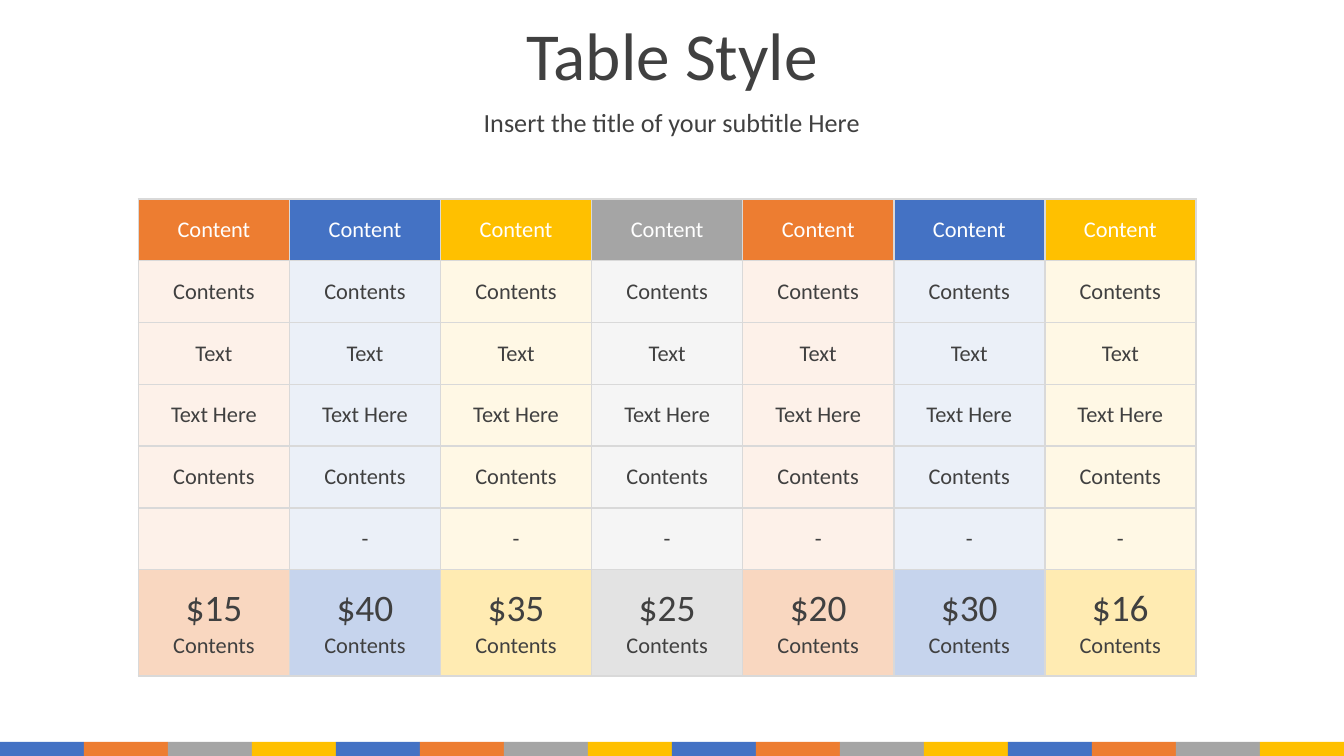
import pptx
import pptx.dml.color
import pptx.enum.shapes
import pptx.enum.text
import pptx.oxml.ns
import pptx.util
from lxml import etree
from pptx.util import Inches

FONT = "Calibri"
DARK, WHITE, BORDER = "404040", "FFFFFF", "D9D9D9"
BLUE, ORANGE, GRAY, YELLOW = "4472C4", "ED7D31", "A5A5A5", "FFC000"
STRIPE_COLORS = [BLUE, ORANGE, GRAY, YELLOW] * 4
COLUMN_COLORS = [ORANGE, BLUE, YELLOW, GRAY, ORANGE, BLUE, YELLOW]
PRICES = ["$15", "$40", "$35", "$25", "$20", "$30", "$16"]
COLUMN_COUNT = len(COLUMN_COLORS)
BODY_ROWS = [[label] * COLUMN_COUNT
             for label in ("Contents", "Text", "Text Here", "Contents")]
BODY_ROWS.append([""] + ["-"] * (COLUMN_COUNT - 1))
SLIDE_WIDTH = 10
SLIDE_HEIGHT = SLIDE_WIDTH * 9 / 16


def rgb(color):
    return pptx.dml.color.RGBColor.from_string(color)


def add_child(parent, tag, **attributes):
    return etree.SubElement(parent, pptx.oxml.ns.qn(tag), attributes)


def add_run(paragraph, text, size, color):
    paragraph.alignment = pptx.enum.text.PP_ALIGN.CENTER
    run = paragraph.add_run()
    run.text = text
    run.font.name = FONT
    run.font.size = pptx.util.Pt(size)
    run.font.color.rgb = rgb(color)


def add_stripes(slide):
    width = SLIDE_WIDTH / len(STRIPE_COLORS)
    for index, color in enumerate(STRIPE_COLORS):
        stripe = slide.shapes.add_shape(
            pptx.enum.shapes.MSO_SHAPE.RECTANGLE,
            Inches(index * width), Inches(5.52), Inches(width), Inches(0.11))
        stripe.shadow.inherit = False
        stripe.fill.solid()
        stripe.fill.fore_color.rgb = rgb(color)
        stripe.line.fill.background()


def fill_heading(placeholder, text, top, height, size, line_spacing):
    placeholder.left, placeholder.top = Inches(0), Inches(top)
    placeholder.width, placeholder.height = Inches(SLIDE_WIDTH), Inches(height)
    frame = placeholder.text_frame
    frame.word_wrap = True
    frame.auto_size = pptx.enum.text.MSO_AUTO_SIZE.NONE
    frame.vertical_anchor = pptx.enum.text.MSO_ANCHOR.MIDDLE
    paragraph = frame.paragraphs[0]
    paragraph.line_spacing = line_spacing
    paragraph.space_before = pptx.util.Pt(7.5)
    add_run(paragraph, text, size, DARK)


def style_cell(cell, color, opacity):
    cell.vertical_anchor = pptx.enum.text.MSO_ANCHOR.MIDDLE
    cell.fill.solid()
    cell.fill.fore_color.rgb = rgb(color)
    properties = cell._tc.get_or_add_tcPr()
    fill = properties.find(pptx.oxml.ns.qn("a:solidFill"))
    if opacity < 100:
        add_child(fill[0], "a:alpha", val=str(opacity * 1000))
    # Borders come before the fill in the cell properties
    for side in ("L", "R", "T", "B"):
        line = add_child(properties, f"a:ln{side}", w=str(pptx.util.Pt(1)))
        add_child(add_child(line, "a:solidFill"), "a:srgbClr", val=BORDER)
        fill.addprevious(line)


def fill_row(table, row, labels, opacity, color=DARK):
    for column, label in enumerate(labels):
        cell = table.cell(row, column)
        style_cell(cell, COLUMN_COLORS[column], opacity)
        if label:
            add_run(cell.text_frame.paragraphs[0], label, 12, color)


def fill_price_row(table, row):
    for column, price in enumerate(PRICES):
        cell = table.cell(row, column)
        style_cell(cell, COLUMN_COLORS[column], 30)
        add_run(cell.text_frame.paragraphs[0], price, 20, DARK)
        add_run(cell.text_frame.add_paragraph(), "Contents", 12, DARK)


def add_price_table(slide):
    row_count = len(BODY_ROWS) + 2
    table = slide.shapes.add_table(
        row_count, COLUMN_COUNT,
        Inches(1.03), Inches(1.48), Inches(7.87), Inches(3.54)).table
    table.horz_banding = False
    for row in table.rows:
        row.height = Inches(0.46)
    table.rows[row_count - 1].height = Inches(0.79)

    fill_row(table, 0, ["Content"] * COLUMN_COUNT, 100, WHITE)
    for row, labels in enumerate(BODY_ROWS, start=1):
        fill_row(table, row, labels, 10)
    fill_price_row(table, row_count - 1)


def main():
    presentation = pptx.Presentation()
    presentation.slide_width = Inches(SLIDE_WIDTH)
    presentation.slide_height = Inches(SLIDE_HEIGHT)
    slide = presentation.slides.add_slide(presentation.slide_layouts[0])

    # Footer stripes
    add_stripes(slide)

    # Headings
    fill_heading(slide.shapes.title, "Table Style", 0.14, 0.63, 36, 0.8)
    fill_heading(slide.placeholders[1], "Insert the title of your subtitle Here",
                 0.77, 0.31, 14, 0.9)

    # Price table
    add_price_table(slide)

    presentation.save("out.pptx")


if __name__ == "__main__":
    main()
